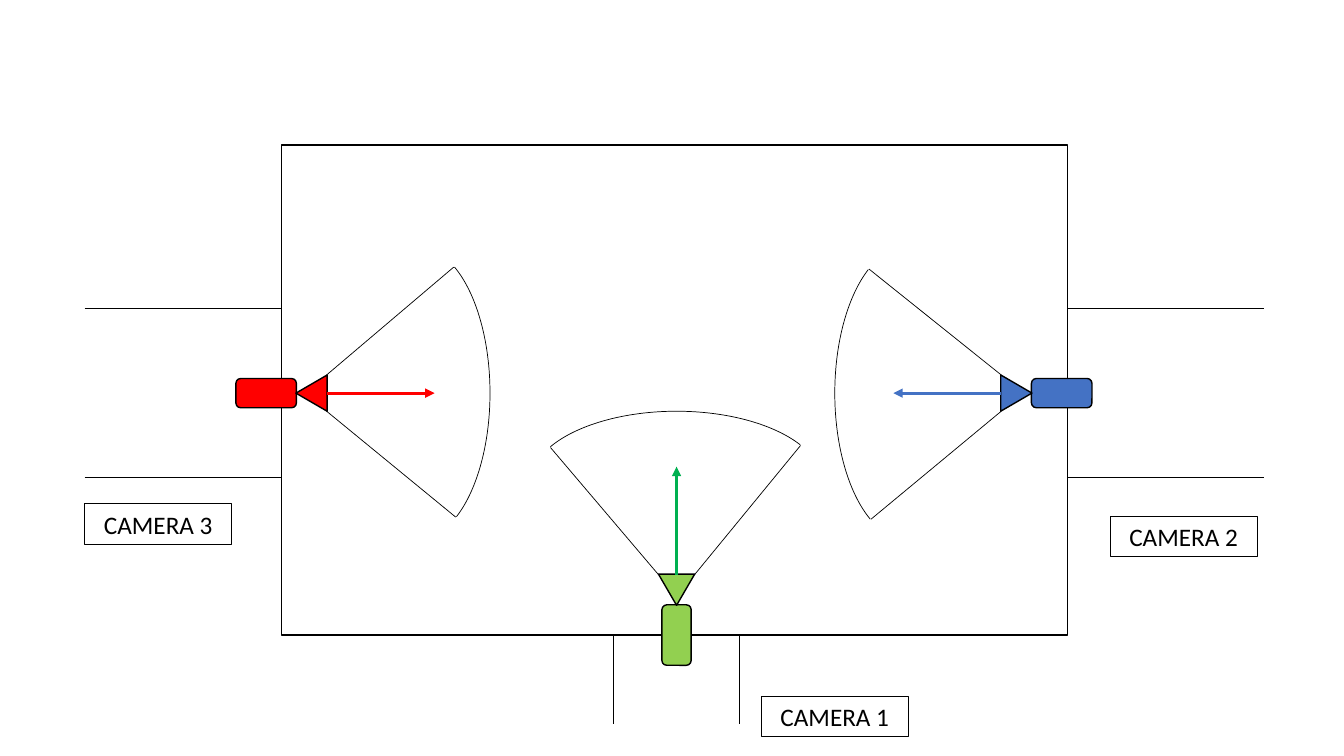
from math import cos, radians, sin

from lxml import etree
from pptx import Presentation
from pptx.dml.color import RGBColor
from pptx.enum.shapes import MSO_CONNECTOR, MSO_SHAPE
from pptx.enum.text import MSO_ANCHOR, MSO_AUTO_SIZE, PP_ALIGN
from pptx.oxml.ns import qn
from pptx.util import Inches, Pt

STRAIGHT = MSO_CONNECTOR.STRAIGHT
RECTANGLE = MSO_SHAPE.RECTANGLE
ROUNDED = MSO_SHAPE.ROUNDED_RECTANGLE
TRIANGLE = MSO_SHAPE.ISOSCELES_TRIANGLE
ARC = MSO_SHAPE.ARC
CENTER = PP_ALIGN.CENTER
MIDDLE = MSO_ANCHOR.MIDDLE
GROW = MSO_AUTO_SIZE.SHAPE_TO_FIT_TEXT

BLACK = "000000"
ROOM_LEFT, ROOM_TOP, ROOM_WIDTH, ROOM_HEIGHT = 2.79, 1.44, 7.8, 4.86
ROOM_RIGHT = ROOM_LEFT + ROOM_WIDTH
PASSAGE_LENGTH = 1.95

# Body centre, facing angle, body colour, arrow colour, extra reach of the view
CAMERAS = [
    ((2.64, 3.9), 0, "FF0000", "FF0000", 0),
    ((10.53, 3.9), 180, "4472C4", "4472C4", 0.03),
    ((6.71, 6.3), 270, "92D050", "00B050", 0),
]
LABELS = [("CAMERA 1", 7.55, 6.91), ("CAMERA 2", 11.01, 5.12), ("CAMERA 3", 0.84, 5)]


def color(hex_string):
    return RGBColor.from_string(hex_string)


def add_box(slide, kind, left, top, width, height, fill=None, line_width=1.0, rotation=0):
    box = slide.shapes.add_shape(kind, Inches(left), Inches(top), Inches(width), Inches(height))
    box.shadow.inherit = False
    box.rotation = rotation
    if fill:
        box.fill.solid()
        box.fill.fore_color.rgb = color(fill)
    else:
        box.fill.background()
    box.line.color.rgb = color(BLACK)
    box.line.width = Pt(line_width)
    return box


def add_centered(slide, kind, center, width, height, **style):
    left, top = center[0] - width / 2, center[1] - height / 2
    return add_box(slide, kind, left, top, width, height, **style)


def add_line(slide, start, end, line_color=BLACK, width=0.5, arrow=False):
    line = slide.shapes.add_connector(STRAIGHT, *(Inches(value) for value in (*start, *end)))
    line.line.color.rgb = color(line_color)
    line.line.width = Pt(width)
    if arrow:
        etree.SubElement(line.line._get_or_add_ln(), qn("a:tailEnd"), type="triangle")
    etree.SubElement(line._element.spPr, qn("a:effectLst"))


def add_label(slide, text, left, top):
    box = add_box(slide, RECTANGLE, left, top, 1.46, 0.4, line_width=0.75)
    frame = box.text_frame
    frame.word_wrap = True
    frame.auto_size = GROW
    frame.vertical_anchor = MIDDLE
    para = frame.paragraphs[0]
    para.text = text
    para.alignment = CENTER
    para.font.name = "Calibri"
    para.font.size = Pt(18)
    para.font.color.rgb = color(BLACK)


def add_camera(slide, center, facing, body_color, arrow_color, reach):
    def place(forward, side=0):
        """Point at a distance ahead of the camera body and to its right."""
        ahead_x, ahead_y = cos(radians(facing)), sin(radians(facing))
        return (center[0] + forward * ahead_x - side * ahead_y,
                center[1] + forward * ahead_y + side * ahead_x)

    # Body and lens
    add_centered(slide, ROUNDED, center, 0.6, 0.29, fill=body_color, rotation=facing)
    add_centered(slide, TRIANGLE, place(0.45), 0.36, 0.31, fill=body_color,
                 rotation=(facing + 270) % 360)

    # Field of view
    add_line(slide, place(0.6, -0.18), place(1.86 + reach, -1.25))
    add_line(slide, place(0.6, 0.18), place(1.88 + reach, 1.23))
    arc = add_centered(slide, ARC, place(1.5 + reach), 2.91, 1.44, line_width=0.5,
                       rotation=(facing + 90) % 360)
    arc.adjustments[0] = 117.84
    arc.adjustments[1] = 205.48

    # Viewing direction
    add_line(slide, place(0.6), place(1.67), arrow_color, 2.25, arrow=True)


def add_passages(slide):
    for y in (3.06, 4.74):
        for left in (ROOM_LEFT - PASSAGE_LENGTH, ROOM_RIGHT):
            add_line(slide, (left, y), (left + PASSAGE_LENGTH, y))
    for x in (6.08, 7.33):
        add_line(slide, (x, ROOM_TOP + ROOM_HEIGHT), (x, 7.18))


def main():
    deck = Presentation()
    deck.slide_width, deck.slide_height = Inches(13.33), Inches(7.5)
    slide = deck.slides.add_slide(deck.slide_layouts[6])

    # Room with its passages
    add_box(slide, RECTANGLE, ROOM_LEFT, ROOM_TOP, ROOM_WIDTH, ROOM_HEIGHT)
    add_passages(slide)

    # Cameras and their names
    for camera in CAMERAS:
        add_camera(slide, *camera)
    for label in LABELS:
        add_label(slide, *label)

    deck.save("out.pptx")


if __name__ == "__main__":
    main()
